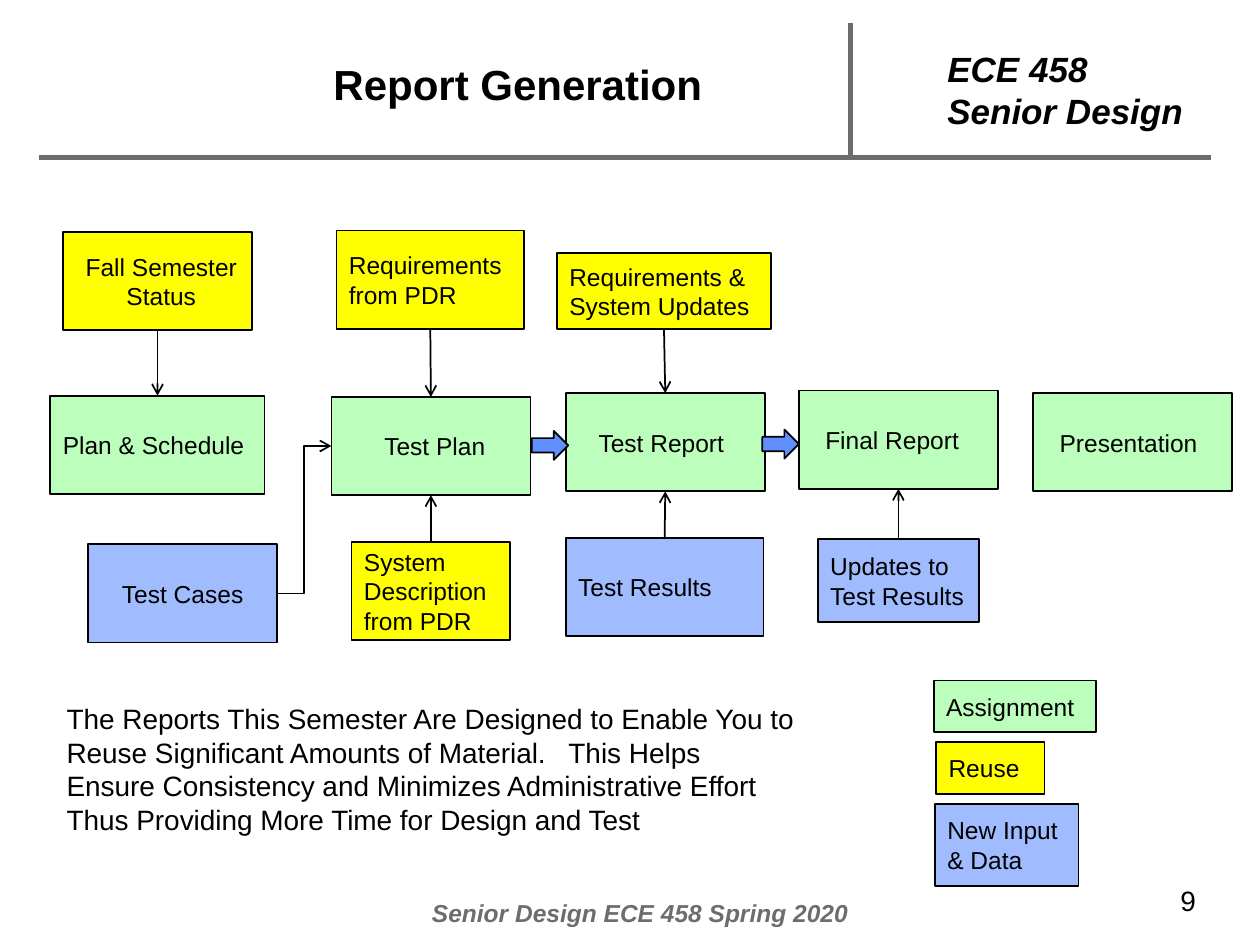
from pptx import Presentation
from pptx.dml.color import RGBColor
from pptx.enum.shapes import MSO_CONNECTOR, MSO_SHAPE
from pptx.enum.text import MSO_ANCHOR, PP_ALIGN
from pptx.oxml.ns import qn
from pptx.util import Pt
from lxml import etree

RECT, BLOCK = MSO_SHAPE.RECTANGLE, MSO_SHAPE.RIGHT_ARROW
LINE, ELBOW = MSO_CONNECTOR.STRAIGHT, MSO_CONNECTOR.ELBOW
LEFT, CENTER = PP_ALIGN.LEFT, PP_ALIGN.CENTER
TOP, MIDDLE = MSO_ANCHOR.TOP, MSO_ANCHOR.MIDDLE
BLACK = RGBColor(0x00, 0x00, 0x00)
GRAY = RGBColor(0x6D, 0x6D, 0x6D)
GREEN = RGBColor(0xBC, 0xFF, 0xBC)
YELLOW = RGBColor(0xFF, 0xFF, 0x00)
BLUE = RGBColor(0xA0, 0xBC, 0xFE)
DEEP = RGBColor(0x61, 0x8F, 0xFD)
FONT = "Arial"
SCALE = 9144


def place(box, left, top, *size):
    """Turn px within a box into EMU on the slide."""
    return [n * SCALE for n in (box[0] + left, box[1] + top, *size)]


def write(shape, text, size, color=BLACK, bold=False, slant=False,
          align=LEFT, anchor=TOP, pad=10):
    """Set and format the text of a shape."""
    frame = shape.text_frame
    frame.text = text
    frame.word_wrap = True
    frame.vertical_anchor = anchor
    frame.margin_left = pad * SCALE
    for para in frame.paragraphs:
        para.alignment = align
        for run in para.runs:
            font = run.font
            font.name, font.size = FONT, Pt(size)
            font.bold, font.italic = bold, slant
            font.color.rgb = color


def label(slide, box, text, size, **style):
    """Add a text box that fills the given box."""
    write(slide.shapes.add_textbox(*place(box, 0, 0, *box[2:])), text, size, **style)


def solid(slide, spot, fill, kind=RECT):
    """Add a filled shape with a thin black outline."""
    shape = slide.shapes.add_shape(kind, *spot)
    shape.shadow.inherit = False
    shape.fill.solid()
    shape.fill.fore_color.rgb = fill
    shape.line.color.rgb = BLACK
    shape.line.width = Pt(1)
    return shape


def card(slide, spot, fill, text, align=LEFT, pad=10):
    """Add a coloured card with its caption."""
    shape = solid(slide, spot, fill)
    write(shape, text, 14, align=align, anchor=MIDDLE, pad=pad)
    return shape


def stroke(slide, ends, color, width, kind=LINE):
    """Add a connector without a shadow."""
    line = slide.shapes.add_connector(kind, *ends)
    line.line.color.rgb = color
    line.line.width = Pt(width)
    etree.SubElement(line._element.spPr, qn("a:effectLst"))
    return line


def link(slide, start, side, end, goal, kind=LINE):
    """Join two cards with an open arrow."""
    line = stroke(slide, (0, 0, 0, 0), BLACK, 1, kind)
    line.begin_connect(start, side)
    line.end_connect(end, goal)
    etree.SubElement(line.line._get_or_add_ln(), qn("a:tailEnd"), type="arrow")


def header(slide, box):
    """Place the title, the course name and the rules."""
    left, top, width, height = box
    for ends in ((0, height, width, height), (644, 0, 644, height)):
        stroke(slide, place(box, *ends[:2]) + place(box, *ends[2:]), GRAY, 3)
    label(slide, (left + 125, top + 15, 510, 67), "Report Generation", 24,
          bold=True, align=CENTER, anchor=MIDDLE)
    label(slide, (left + 711, top + 15, 283, 77), "ECE 458\nSenior Design", 20,
          bold=True, slant=True)


def flow(slide, box):
    """Place the report cards, their inputs and the arrows."""
    cards = {}
    for name, fill, text, spot, align, pad in (
        ("plan", GREEN, "Plan & Schedule", (0, 131, 170, 78), LEFT, 10),
        ("test", GREEN, "Test Plan", (223, 132, 158, 78), LEFT, 42),
        ("report", GREEN, "Test Report", (409, 129, 158, 78), LEFT, 26),
        ("final", GREEN, "Final Report", (594, 127, 158, 78), LEFT, 21),
        ("talk", GREEN, "Presentation", (780, 129, 158, 78), LEFT, 21),
        ("fall", YELLOW, "Fall Semester Status", (10, 1, 150, 78), CENTER, 16),
        ("needs", YELLOW, "Requirements from PDR", (227, 0, 149, 78), LEFT, 10),
        ("system", YELLOW, "Requirements & System Updates", (402, 18, 170, 60), LEFT, 10),
        ("cases", BLUE, "Test Cases", (30, 249, 150, 78), CENTER, 10),
        ("design", YELLOW, "System Description from PDR", (239, 247, 126, 78), LEFT, 10),
        ("results", BLUE, "Test Results", (409, 244, 157, 78), LEFT, 10),
        ("updates", BLUE, "Updates to Test Results", (609, 245, 128, 66), LEFT, 10),
    ):
        cards[name] = card(slide, place(box, *spot), fill, text, align, pad)
    for start, end in (("fall", "plan"), ("needs", "test"), ("system", "report")):
        link(slide, cards[start], 2, cards[end], 0)
    for start, end in (("design", "test"), ("results", "report"), ("updates", "final")):
        link(slide, cards[start], 0, cards[end], 2)
    link(slide, cards["cases"], 3, cards["test"], 1, ELBOW)
    for left, top in ((382, 159), (565, 158)):
        solid(slide, place(box, left, top, 29, 23), DEEP, BLOCK)


def legend(slide, box):
    """Place the colour key."""
    for row, (fill, text, left, width, height) in enumerate((
        (GREEN, "Assignment", 0, 129, 41),
        (YELLOW, "Reuse", 2, 86, 41),
        (BLUE, "New Input & Data", 1, 114, 65),
    )):
        card(slide, place(box, left, row * 49, width, height), fill, text)


def footer(slide, box):
    """Place the course line and the page number."""
    left, top = box[:2]
    label(slide, (left, top + 12, 400, 33), "Senior Design ECE 458 Spring 2020", 14,
          color=GRAY, bold=True, slant=True)
    label(slide, (left + 594, top, 48, 37), "9", 16)


def main():
    """Build the slide and save it."""
    deck = Presentation()
    deck.slide_width, deck.slide_height = 1000 * SCALE, 750 * SCALE
    slide = deck.slides.add_slide(deck.slide_layouts[6])
    header(slide, (31, 18, 930, 107))
    flow(slide, (40, 183, 938, 327))
    label(slide, (43, 552, 599, 118),
          "The Reports This Semester Are Designed to Enable You to Reuse "
          "Significant Amounts of Material.   This Helps Ensure Consistency "
          "and Minimizes Administrative Effort Thus Providing More Time for "
          "Design and Test", 16)
    legend(slide, (741, 540, 129, 163))
    footer(slide, (333, 696, 642, 45))
    deck.save("out.pptx")


if __name__ == "__main__":
    main()
